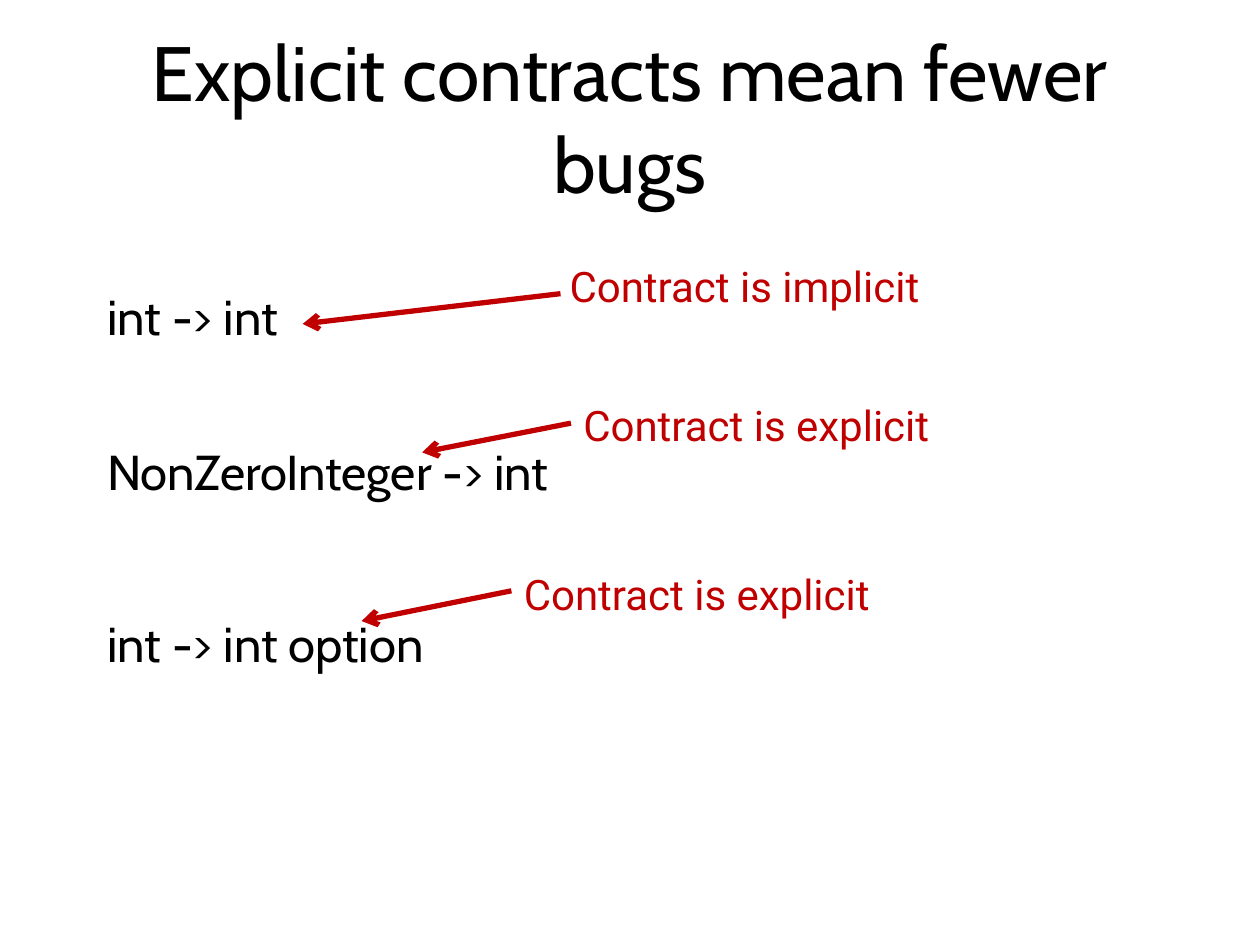
from lxml import etree
from pptx import Presentation
from pptx import util as u
from pptx.dml.color import RGBColor
from pptx.enum import shapes, text
from pptx.oxml.ns import qn

COLORS = {"ink": "000000", "note": "C00000"}
CODE_FONT = "Cabin"
NOTE_FONT = "Roboto"

LEFT, ALIGN_CENTER = text.PP_ALIGN.LEFT, text.PP_ALIGN.CENTER

CONTRACTS = [
    {"top": 5.72, "signature": "int -> int", "note": "Contract is implicit",
     "note_at": (8, -0.59), "align": ALIGN_CENTER,
     "arrow": ((9.19, 0.2), (3.99, 0.81))},
    {"top": 8.84, "signature": "NonZeroInteger -> int", "note": "Contract is explicit",
     "note_at": (9.4, -0.92), "align": LEFT,
     "arrow": ((9.4, -0.31), (6.4, 0.28))},
    {"top": 12.32, "signature": "int -> int option", "note": "Contract is explicit",
     "note_at": (8.2, -0.99), "align": LEFT,
     "arrow": ((8.2, -0.41), (5.18, 0.2))},
]


def color(name):
    return RGBColor.from_string(COLORS[name])


def write(shape, wording, font, size, ink, align):
    frame = shape.text_frame
    frame.word_wrap = True
    frame.text = wording
    paragraph = frame.paragraphs[0]
    paragraph.alignment = align
    paragraph.font.name = font
    paragraph.font.size = u.Pt(size)
    paragraph.font.color.rgb = color(ink)
    return frame


def place_title(slide, left, top, width, height):
    title = slide.shapes.title
    title.left, title.top = u.Cm(left), u.Cm(top)
    title.width, title.height = u.Cm(width), u.Cm(height)
    frame = write(title, "Explicit contracts mean fewer bugs", CODE_FONT, 44, "ink", ALIGN_CENTER)
    frame.vertical_anchor = text.MSO_ANCHOR.MIDDLE
    frame.auto_size = text.MSO_AUTO_SIZE.NONE


def add_signature(slide, wording, left, top, width, height):
    box = slide.shapes.add_shape(
        shapes.MSO_SHAPE.ROUNDED_RECTANGLE,
        u.Cm(left), u.Cm(top), u.Cm(width), u.Cm(height))
    box.shadow.inherit = False
    box.fill.background()
    box.line.fill.background()
    frame = write(box, wording, CODE_FONT, 28, "ink", LEFT)
    frame.vertical_anchor = text.MSO_ANCHOR.TOP
    frame.margin_left = frame.margin_right = 0
    frame.margin_top = frame.margin_bottom = 0


def add_arrow(group, start, end):
    arrow = group.shapes.add_connector(
        shapes.MSO_CONNECTOR.STRAIGHT, *(u.Cm(value) for value in start + end))
    arrow.line.color.rgb = color("note")
    arrow.line.width = u.Pt(3)
    etree.SubElement(arrow.line._get_or_add_ln(), qn("a:tailEnd"), type="arrow")
    etree.SubElement(arrow._element.spPr, qn("a:effectLst"))


def add_contract(slide, contract, left, top, width, height):
    def inside(point):
        return left + point[0], top + point[1]

    add_signature(slide, contract["signature"], left, top, width, height)
    group = slide.shapes.add_group_shape()
    note_left, note_top = inside(contract["note_at"])
    note = group.shapes.add_textbox(
        u.Cm(note_left), u.Cm(note_top), u.Cm(9.8), u.Cm(1.27))
    frame = write(note, contract["note"], NOTE_FONT, 24, "note", contract["align"])
    frame.auto_size = text.MSO_AUTO_SIZE.SHAPE_TO_FIT_TEXT
    start, end = contract["arrow"]
    add_arrow(group, inside(start), inside(end))


def main():
    presentation = Presentation()
    presentation.slide_width, presentation.slide_height = u.Cm(25.4), u.Cm(19.05)
    slide = presentation.slides.add_slide(presentation.slide_layouts[5])
    place_title(slide, 1.27, 0.76, 22.86, 3.18)
    for contract in CONTRACTS:
        add_contract(slide, contract, 2.11, contract["top"], 11.4, 1.09)
    presentation.save("out.pptx")


if __name__ == "__main__":
    main()
